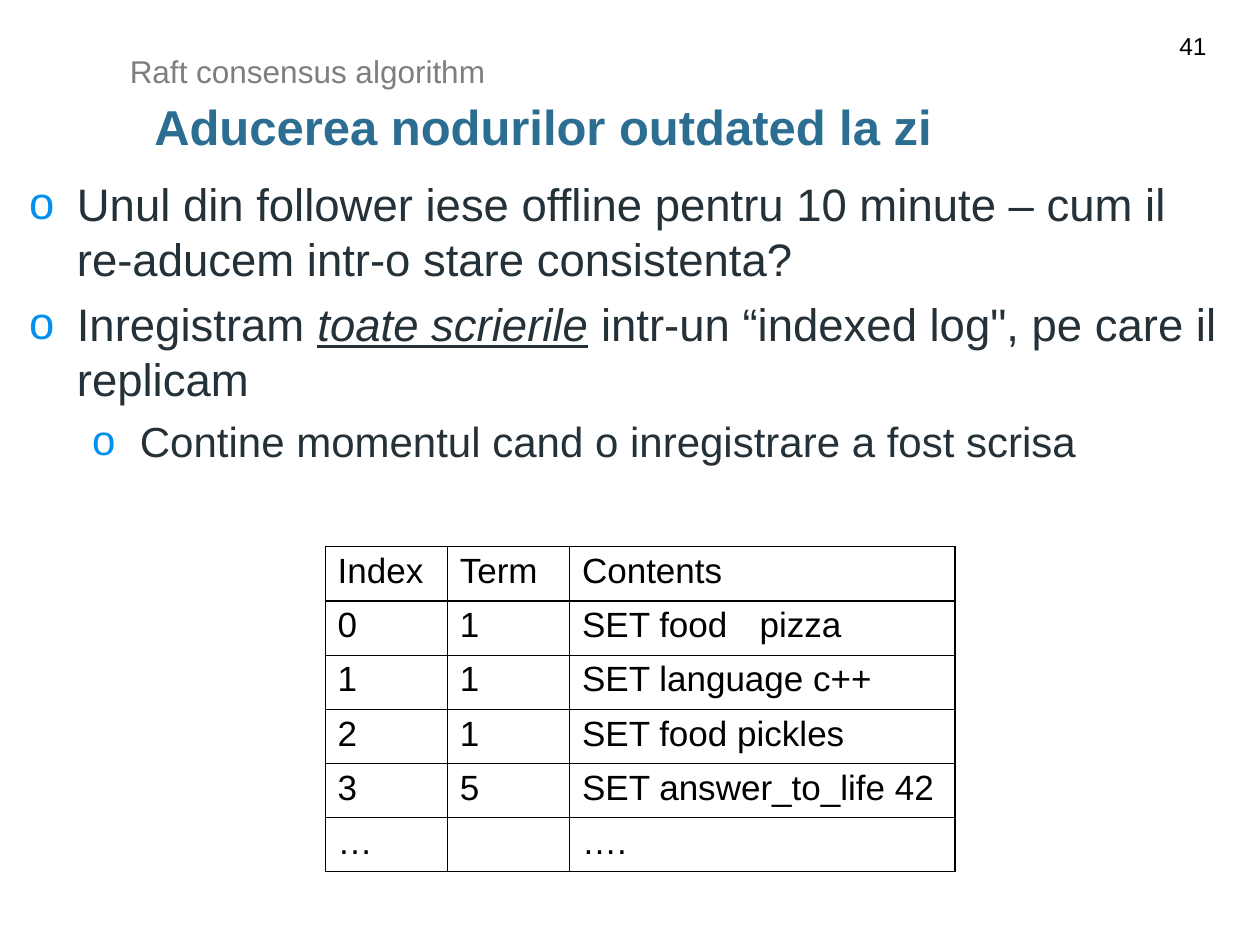
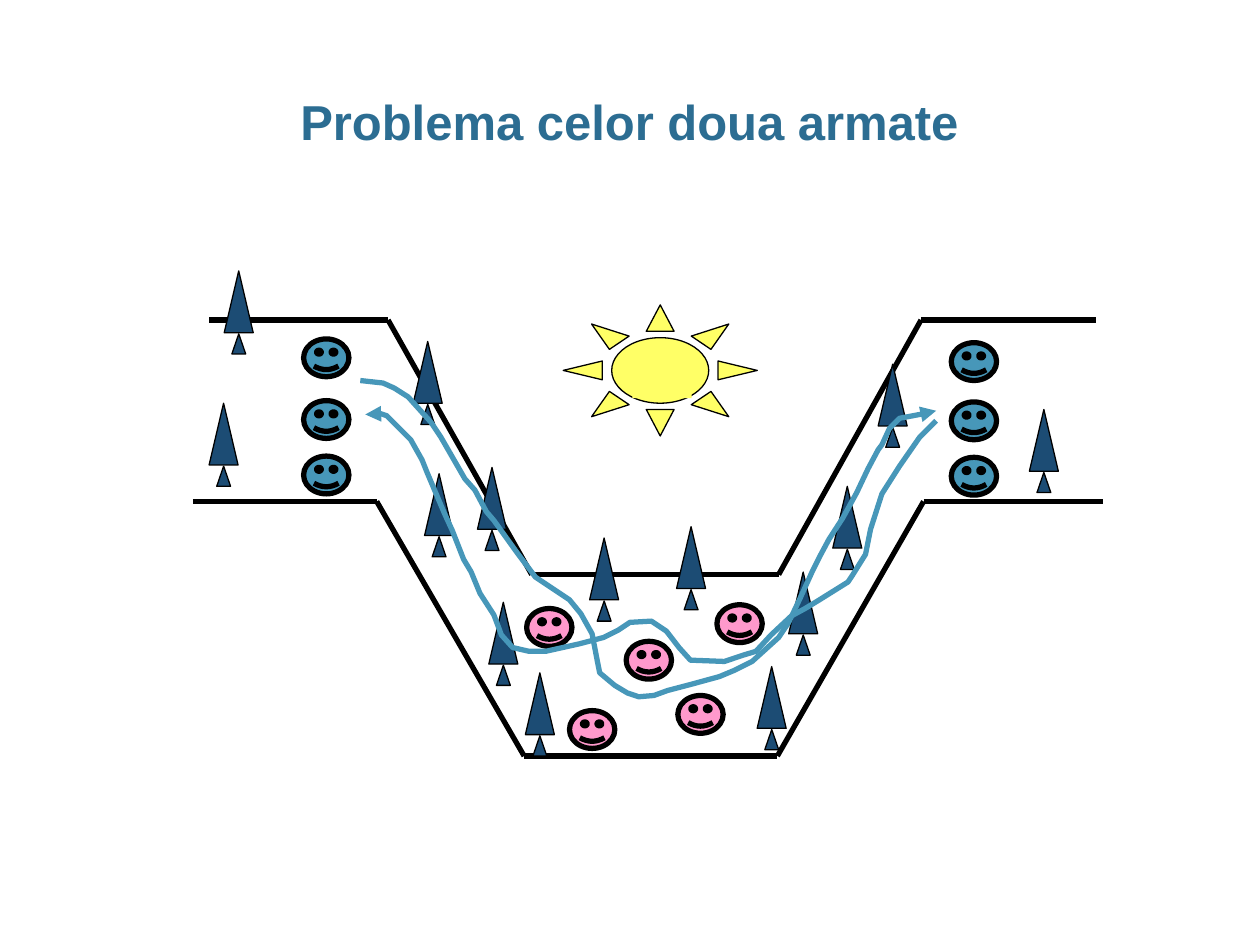
import dataclasses
import itertools

import lxml.etree
import pptx
import pptx.dml.color
import pptx.enum.shapes
import pptx.enum.text
import pptx.oxml.ns
import pptx.util

SHAPE = pptx.enum.shapes.MSO_SHAPE
ALIGN = pptx.enum.text.PP_ALIGN


@dataclasses.dataclass(frozen=True)
class Theme:
    """Colours, type sizes (pt) and line widths (pt)."""
    font: str = "Arial"
    heading: str = "2C6D92"
    body: str = "253138"
    bullet: str = "0092EE"
    muted: str = "7E7E7E"
    ink: str = "000000"
    ally: str = "4797B9"
    enemy: str = "FF99CC"
    sun: str = "FFFF66"
    tree: str = "1C4C74"
    title_size: int = 28
    body_size: int = 26
    sub_size: int = 24
    table_size: int = 20
    topic_size: int = 18
    number_size: int = 14
    thick: float = 3
    thin: float = 0.75


def rgb(color):
    return pptx.dml.color.RGBColor.from_string(color)


def add_xml(parent, tag, **attributes):
    return lxml.etree.SubElement(parent, pptx.oxml.ns.qn(tag), attributes)


class Deck:
    SCALE = 9144  # EMU per px, 100 px to the inch

    def __init__(self, theme):
        self.theme = theme
        self.file = pptx.Presentation()
        self.file.slide_width = self.px(1000)
        self.file.slide_height = self.px(750)

    def px(self, length):
        return pptx.util.Emu(length * self.SCALE)

    def box(self, *lengths):
        return [self.px(length) for length in lengths]

    # Text
    def style(self, paragraph, size, color, bold=False):
        font = paragraph.font
        font.name, font.size, font.bold = self.theme.font, pptx.util.Pt(size), bold
        font.color.rgb = rgb(color)

    def frame(self, shape, top_inset=1):
        frame = shape.text_frame
        frame.word_wrap = True
        frame.auto_size = pptx.enum.text.MSO_AUTO_SIZE.NONE
        frame.vertical_anchor = pptx.enum.text.MSO_ANCHOR.TOP
        frame.margin_left = frame.margin_right = frame.margin_bottom = 0
        frame.margin_top = self.px(top_inset)
        return frame

    def slide(self, title, at, top_inset=1):
        slide = self.file.slides.add_slide(self.file.slide_layouts[5])
        self.shapes = slide.shapes
        heading = self.shapes.title
        heading.left, heading.top, heading.width, heading.height = self.box(*at)
        paragraph = self.frame(heading, top_inset).paragraphs[0]
        paragraph.text, paragraph.alignment = title, ALIGN.CENTER
        self.style(paragraph, self.theme.title_size, self.theme.heading, bold=True)

    def label(self, text, at, size, color):
        paragraph = self.frame(self.shapes.add_textbox(*self.box(*at))).paragraphs[0]
        paragraph.text = text
        self.style(paragraph, size, color)

    def bullets(self, items, at):
        """Each item is (level, runs); every second run is emphasised."""
        frame = self.frame(self.shapes.add_textbox(*self.box(*at)))
        for index, (level, runs) in enumerate(items):
            paragraph = frame.add_paragraph() if index else frame.paragraphs[0]
            paragraph.level = level
            properties = paragraph._p.get_or_add_pPr()
            properties.set("marL", str(self.px(39 + 50 * level)))
            properties.set("indent", str(self.px(-38)))
            add_xml(add_xml(properties, "a:buClr"), "a:srgbClr", val=self.theme.bullet)
            add_xml(properties, "a:buFont", typeface=self.theme.font)
            add_xml(properties, "a:buChar", char="o")
            if index:
                paragraph.space_before = pptx.util.Pt(6)
            size = self.theme.sub_size if level else self.theme.body_size
            self.style(paragraph, size, self.theme.body)
            for position, text in enumerate(runs):
                run = paragraph.add_run()
                run.text = text
                if position % 2:
                    run.font.italic = run.font.underline = True

    # Table
    def table(self, rows, at, widths, row_height, tab):
        left, top = at
        frame = self.shapes.add_table(len(rows), len(widths), *self.box(
            left, top, sum(widths), row_height * len(rows)))
        table = frame.table
        table.first_row = table.horz_banding = False
        for column, width in zip(table.columns, widths):
            column.width = self.px(width)
        for row, texts in zip(table.rows, rows):
            row.height = self.px(row_height)
            for cell, text in zip(row.cells, texts):
                self.cell(cell, text, tab)

    def cell(self, cell, text, tab):
        properties = cell._tc.get_or_add_tcPr()
        for side in ("a:lnL", "a:lnR", "a:lnT", "a:lnB"):
            border = add_xml(properties, side, w=str(pptx.util.Pt(self.theme.thin)))
            add_xml(add_xml(border, "a:solidFill"), "a:srgbClr", val=self.theme.ink)
        cell.fill.background()
        cell.margin_left, cell.margin_top = self.box(10, 4)
        cell.margin_right = cell.margin_bottom = 0
        paragraph = cell.text_frame.paragraphs[0]
        if "\t" in text:
            tabs = add_xml(paragraph._p.get_or_add_pPr(), "a:tabLst")
            add_xml(tabs, "a:tab", pos=str(self.px(tab)), algn="l")
        paragraph.text = text
        self.style(paragraph, self.theme.table_size, self.theme.ink)

    # Drawing
    def stroke(self, line, color, width):
        line.color.rgb = rgb(color)
        line.width = pptx.util.Pt(width)

    def shape(self, kind, at, fill, width=None, parent=None):
        shape = (parent or self.shapes).add_shape(kind, *self.box(*at))
        shape.shadow.inherit = False
        shape.fill.solid()
        shape.fill.fore_color.rgb = rgb(fill)
        if width:
            self.stroke(shape.line, self.theme.ink, width)
        else:
            shape.line.fill.background()

    def ridge(self, points):
        group = self.shapes.add_group_shape().shapes
        for start, end in itertools.pairwise(points):
            edge = group.add_connector(pptx.enum.shapes.MSO_CONNECTOR.STRAIGHT,
                                       *self.box(*start, *end))
            add_xml(edge._element.spPr, "a:effectLst")
            self.stroke(edge.line, self.theme.ink, self.theme.thick)

    def soldier(self, left, top, color):
        self.shape(SHAPE.SMILEY_FACE, (left, top, 36, 30), color, self.theme.thick)

    def tree(self, left, top):
        group = self.shapes.add_group_shape().shapes
        for at in ((left, top, 23, 49), (left + 6, top + 50, 11, 16)):
            self.shape(SHAPE.ISOSCELES_TRIANGLE, at, self.theme.tree,
                       self.theme.thin, group)

    def route(self, points):
        builder = self.shapes.build_freeform(*points[0], scale=self.SCALE)
        builder.add_line_segments(points[1:], close=False)
        route = builder.convert_to_shape()
        route.shadow.inherit = False
        route.fill.background()
        self.stroke(route.line, self.theme.ally, self.theme.thick)
        outline = route.line._get_or_add_ln()
        add_xml(outline, "a:round")
        add_xml(outline, "a:tailEnd", type="triangle")


def log_slide(deck):
    theme = deck.theme
    deck.slide("Aducerea nodurilor outdated la zi", (38, 76, 786, 49))
    deck.label("41", (936, 24, 24, 26), theme.number_size, theme.ink)
    deck.bullets([
        (0, ["Unul din follower iese offline pentru 10 minute – cum il "
             "re-aducem intr-o stare consistenta?"]),
        (0, ["Inregistram ", "toate scrierile",
             " intr-un “indexed log\", pe care il replicam"]),
        (1, ["Contine momentul cand o inregistrare a fost scrisa"]),
    ], (22, 139, 951, 234))
    deck.table([
        ("Index", "Term", "Contents"),
        ("0", "1", "SET food\tpizza"),
        ("1", "1", "SET language c++"),
        ("2", "1", "SET food pickles"),
        ("3", "5", "SET answer_to_life 42"),
        ("…", "", "…."),
    ], at=(258, 434), widths=(97, 97, 306), row_height=43, tab=141)
    deck.label("Raft consensus algorithm", (103, 40, 285, 33),
               theme.topic_size, theme.muted)


def armies_slide(deck):
    theme = deck.theme
    deck.slide("Problema celor doua armate", (34, 68, 931, 50), top_inset=5)

    # Valley
    deck.ridge([(166, 254), (308, 254), (422, 456), (618, 456), (731, 254), (870, 254)])
    deck.ridge([(153, 398), (299, 398), (416, 600), (617, 600), (733, 398), (875, 398)])

    # Armies
    for left, tops in ((241, (269, 318, 362)), (755, (272, 319, 363))):
        for top in tops:
            deck.soldier(left, top, theme.ally)
    for left, top in ((452, 564), (569, 480), (497, 509), (538, 552), (418, 483)):
        deck.soldier(left, top, theme.enemy)

    # Sun and trees
    deck.shape(SHAPE.SUN, (447, 242, 154, 104), theme.sun, theme.thin)
    for left, top in ((379, 371), (328, 271), (697, 289), (537, 418), (661, 386),
                      (468, 427), (388, 478), (626, 454), (601, 529), (417, 534),
                      (166, 320), (178, 215), (817, 325), (337, 376)):
        deck.tree(left, top)

    # Messenger routes: right to left, then left to right
    deck.route([
        (743, 334), (730, 347), (714, 370), (700, 392), (691, 420), (687, 440),
        (677, 456), (673, 462), (649, 477), (639, 483), (628, 489), (612, 504),
        (600, 517), (590, 520), (575, 525), (548, 524), (539, 514), (529, 501),
        (517, 493), (500, 494), (491, 500), (479, 506), (460, 511), (433, 517),
        (420, 517), (407, 514), (398, 504), (392, 488), (381, 471), (374, 454),
        (368, 444), (359, 421), (353, 408), (339, 375), (335, 365), (326, 349),
        (307, 330), (301, 328), (290, 329)])
    deck.route([
        (286, 302), (304, 304), (313, 308), (324, 315), (342, 335), (350, 347),
        (369, 380), (377, 389), (386, 406), (392, 413), (410, 438), (425, 458),
        (437, 466), (452, 476), (461, 487), (470, 503), (474, 524), (476, 534),
        (488, 544), (498, 550), (507, 553), (519, 552), (530, 548), (549, 543),
        (571, 537), (583, 532), (597, 525), (618, 506), (626, 494), (635, 475),
        (645, 453), (651, 441), (658, 428), (669, 411), (680, 391), (689, 372),
        (697, 357), (700, 353), (706, 340), (714, 332), (735, 328), (743, 326)])

    # Patch over the lower edge of the sun
    deck.shape(SHAPE.RECTANGLE, (502, 306, 47, 10), theme.sun)


def main():
    deck = Deck(Theme())
    log_slide(deck)
    armies_slide(deck)
    deck.file.save("out.pptx")


if __name__ == "__main__":
    main()
